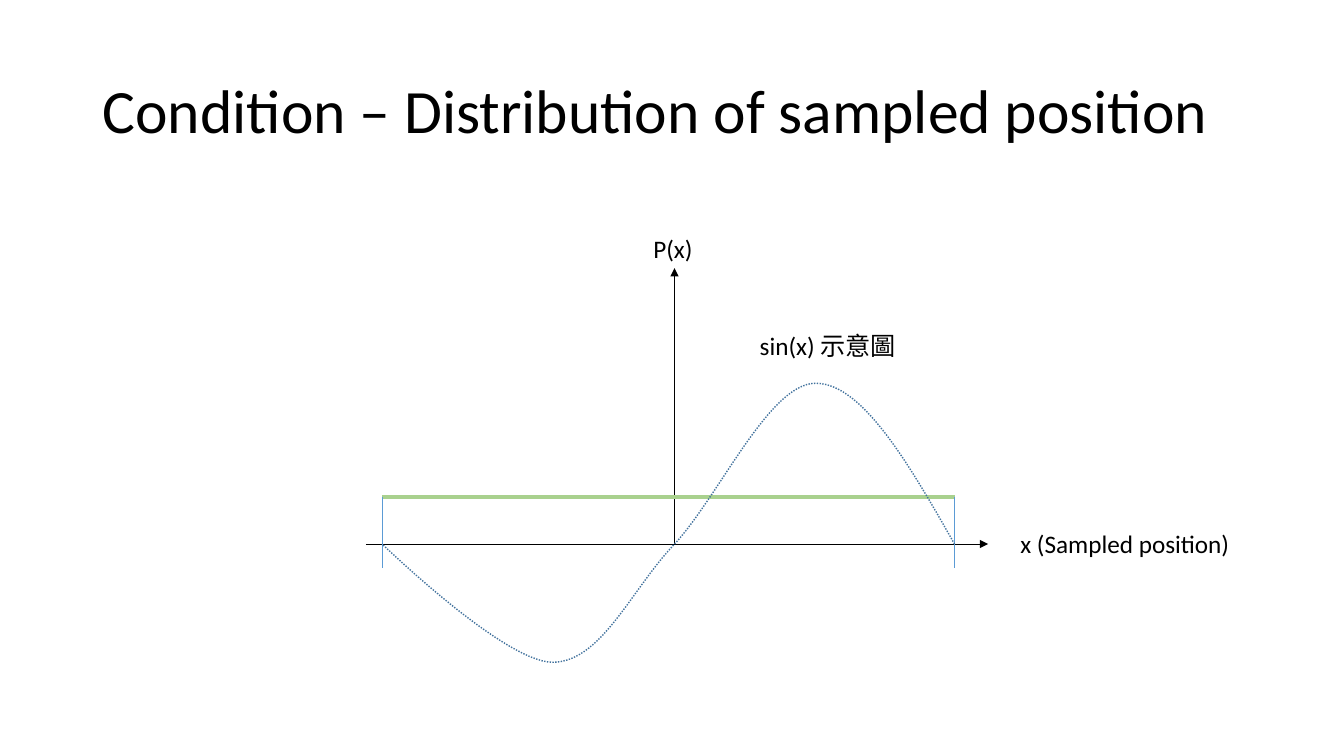
from dataclasses import dataclass

from lxml.etree import SubElement
from pptx import Presentation
from pptx.dml.color import RGBColor
from pptx.enum.dml import MSO_LINE_DASH_STYLE as Dash
from pptx.enum.shapes import MSO_CONNECTOR as Connector
from pptx.enum.text import MSO_ANCHOR as Anchor
from pptx.oxml.ns import qn
from pptx.util import Inches, Pt


@dataclass(frozen=True)
class Theme:
    """Colours, font, type sizes and line widths."""
    font: str = "Calibri"
    ink: str = "000000"
    density: str = "A9D18E"
    bound: str = "5B9BD5"
    curve: str = "43739E"
    title_size: int = 44
    label_size: int = 18
    thin: float = 0.5
    fine: float = 1
    thick: float = 3


@dataclass(frozen=True)
class Box:
    """A region whose inner positions are percentages of its size."""
    left: float
    top: float
    width: float
    height: float

    def point(self, x, y):
        """Return the slide position of a point inside the box."""
        return (round(self.left + self.width * x / 100),
                round(self.top + self.height * y / 100))

    def inner(self, x, y, width, height):
        """Return a smaller box inside this one."""
        return Box(*self.point(x, y), round(self.width * width / 100),
                   round(self.height * height / 100))


THEME = Theme()
BASELINE, DENSITY_LEVEL, BOUND_FOOT = 70, 58, 76
LEFT_BOUND, ORIGIN, RIGHT_BOUND = 2.6, 49.6, 94.6
LABEL_SIZE = (37.8, 10.2)
LABELS = (
    ("x (Sampled position)", 103.6, 64.7),
    ("P(x)", 44.6, -10),
    ("sin(x) 示意圖", 61.7, 14.6),
)
SINE_START = (RIGHT_BOUND, BASELINE)
SINE_CURVES = (
    ((87.2, 49.4), (79.7, 29.2), (72.3, 29.2)),
    ((64.8, 29.2), (56.7, 58), (ORIGIN, BASELINE)),
    ((42.6, 81.6), (37.8, 100), (30, 100)),
    ((22.2, 100), (LEFT_BOUND, BASELINE), (LEFT_BOUND, BASELINE)),
)
CURVE_STEPS = 30


def add_text(page, box, text, size, anchor=Anchor.TOP, spacing=1.0):
    """Write one paragraph of text in a box."""
    shape = page.shapes.add_textbox(box.left, box.top, box.width, box.height)
    frame = shape.text_frame
    for name, value in {"word_wrap": True, "vertical_anchor": anchor}.items():
        setattr(frame, name, value)
    para = frame.paragraphs[0]
    para.line_spacing = spacing
    span = para.add_run()
    span.text = text
    for name, value in {"name": THEME.font, "size": Pt(size)}.items():
        setattr(span.font, name, value)
    span.font.color.rgb = RGBColor.from_string(THEME.ink)


def add_line(page, box, start, end, color, width, arrow=False):
    """Draw a straight line between two points of a box."""
    line = page.shapes.add_connector(
        Connector.STRAIGHT, *box.point(*start), *box.point(*end))
    line.line.color.rgb = RGBColor.from_string(color)
    line.line.width = Pt(width)
    properties = line.element.spPr
    if arrow:
        SubElement(properties.find(qn("a:ln")), qn("a:tailEnd"), type="triangle")
    SubElement(properties, qn("a:effectLst"))


def bezier_points(start, curves):
    """Sample a chain of cubic curves at equal steps."""
    for first, second, end in curves:
        for step in range(1, CURVE_STEPS + 1):
            t = step / CURVE_STEPS
            weights = ((1 - t) ** 3, 3 * t * (1 - t) ** 2,
                       3 * t ** 2 * (1 - t), t ** 3)
            yield tuple(
                sum(weight * value for weight, value in zip(weights, values))
                for values in zip(start, first, second, end))
        start = end


def add_sine(page, box):
    """Draw the dotted sine curve."""
    builder = page.shapes.build_freeform(*box.point(*SINE_START))
    points = [box.point(*point) for point in bezier_points(SINE_START, SINE_CURVES)]
    builder.add_line_segments(points, close=False)
    curve = builder.convert_to_shape()
    curve.shadow.inherit = False
    curve.fill.background()
    curve.line.color.rgb = RGBColor.from_string(THEME.curve)
    for name, value in {"width": Pt(THEME.fine),
                        "dash_style": Dash.ROUND_DOT}.items():
        setattr(curve.line, name, value)


def add_title(page, box):
    """Place the slide title."""
    add_text(page, box, "Condition – Distribution of sampled position",
             THEME.title_size, Anchor.MIDDLE, 0.9)


def add_plot(page, box):
    """Place the axes, uniform density, bounds, labels and sine curve."""
    for start, end in (((0, BASELINE), (100, BASELINE)),
                       ((ORIGIN, BASELINE), (ORIGIN, 0))):
        add_line(page, box, start, end, THEME.ink, THEME.thin, arrow=True)
    add_line(page, box, (LEFT_BOUND, DENSITY_LEVEL), (RIGHT_BOUND, DENSITY_LEVEL),
             THEME.density, THEME.thick)
    for bound in (LEFT_BOUND, RIGHT_BOUND):
        add_line(page, box, (bound, DENSITY_LEVEL), (bound, BOUND_FOOT),
                 THEME.bound, THEME.thin)
    for text, x, y in LABELS:
        add_text(page, box.inner(x, y, *LABEL_SIZE), text, THEME.label_size)
    add_sine(page, box)


def main():
    """Build and save the slide."""
    deck = Presentation()
    for name, value in {"slide_width": 13.33, "slide_height": 7.5}.items():
        setattr(deck, name, Inches(value))
    page = deck.slides.add_slide(deck.slide_layouts[6])
    slide = Box(0, 0, deck.slide_width, deck.slide_height)
    add_title(page, slide.inner(6.9, 5.33, 89.65, 19.33))
    add_plot(page, slide.inner(27.23, 35.47, 46.29, 52.13))
    deck.save("out.pptx")


if __name__ == "__main__":
    main()
